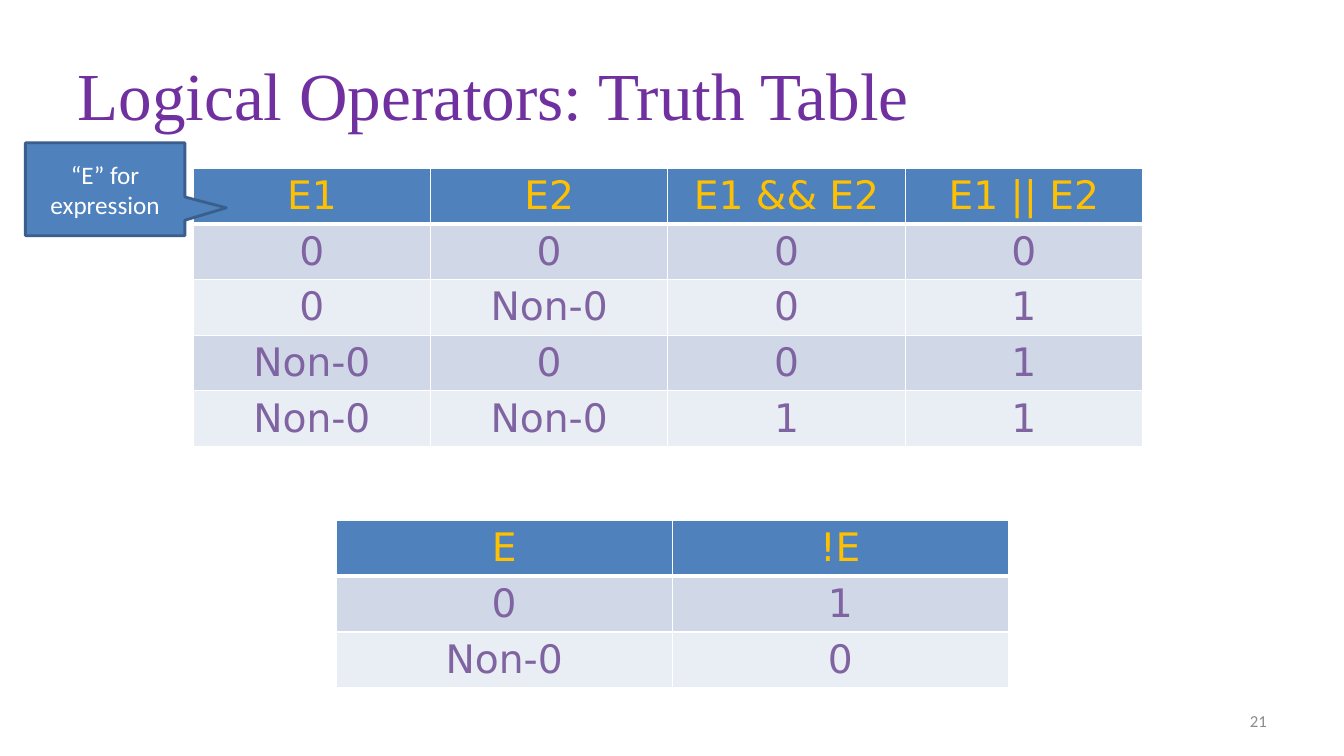
import pptx
import pptx.dml.color
import pptx.enum.shapes
import pptx.enum.text
import pptx.oxml
import pptx.oxml.ns
import pptx.util

Cm = pptx.util.Cm
Pt = pptx.util.Pt
RGBColor = pptx.dml.color.RGBColor
ALIGN = pptx.enum.text.PP_ALIGN
MIDDLE = pptx.enum.text.MSO_ANCHOR.MIDDLE

WHITE = RGBColor(0xFF, 0xFF, 0xFF)
TITLE_PURPLE = RGBColor(0x70, 0x30, 0xA0)
HEADER_BLUE = RGBColor(0x4F, 0x81, 0xBD)
HEADER_GOLD = RGBColor(0xFF, 0xC0, 0x00)
VALUE_PURPLE = RGBColor(0x80, 0x64, 0xA2)
BAND_DARK = RGBColor(0xD0, 0xD8, 0xE8)
BAND_LIGHT = RGBColor(0xE9, 0xED, 0xF4)
CALLOUT_EDGE = RGBColor(0x3A, 0x5F, 0x8C)
NUMBER_GREY = RGBColor(0x8C, 0x8C, 0x8C)

ROW_HEIGHT = Cm(1.4)
BINARY_TABLE = [
    ["E1", "E2", "E1 && E2", "E1 || E2"],
    ["0", "0", "0", "0"],
    ["0", "Non-0", "0", "1"],
    ["Non-0", "0", "0", "1"],
    ["Non-0", "Non-0", "1", "1"],
]
NOT_TABLE = [["E", "!E"], ["0", "1"], ["Non-0", "0"]]


def write(frame, text, font, size, color, align):
    paragraph = frame.paragraphs[0]
    paragraph.alignment = align
    run = paragraph.add_run()
    run.text = text
    run.font.name = font
    run.font.size = Pt(size)
    run.font.bold = False
    run.font.color.rgb = color


def set_borders(cell, bottom_width):
    properties = cell._tc.get_or_add_tcPr()
    for side, width in (("L", 1), ("R", 1), ("T", 1), ("B", bottom_width)):
        properties.append(pptx.oxml.parse_xml(
            f'<a:ln{side} {pptx.oxml.ns.nsdecls("a")} w="{Pt(width)}">'
            f'<a:solidFill><a:srgbClr val="{WHITE}"/></a:solidFill></a:ln{side}>'))


def add_title(slide, left, top, width, height):
    title = slide.shapes.title
    title.left, title.top, title.width, title.height = left, top, width, height
    frame = title.text_frame
    frame.vertical_anchor = MIDDLE
    frame.auto_size = pptx.enum.text.MSO_AUTO_SIZE.NONE
    write(frame, "Logical Operators: Truth Table", "Times New Roman", 48,
          TITLE_PURPLE, ALIGN.LEFT)


def add_truth_table(slide, rows, left, top, width):
    table = slide.shapes.add_table(len(rows), len(rows[0]), left, top, width,
                                   ROW_HEIGHT * len(rows)).table
    table.horz_banding = False
    for row_index, values in enumerate(rows):
        header = row_index == 0
        band = BAND_DARK if row_index % 2 else BAND_LIGHT
        for column_index, value in enumerate(values):
            cell = table.cell(row_index, column_index)
            set_borders(cell, 3 if header else 1)
            cell.fill.solid()
            cell.fill.fore_color.rgb = HEADER_BLUE if header else band
            write(cell.text_frame, value, "DejaVu Sans", 28,
                  HEADER_GOLD if header else VALUE_PURPLE, ALIGN.CENTER)


def add_expression_callout(slide, left, top, width, height):
    callout = slide.shapes.add_shape(
        pptx.enum.shapes.MSO_SHAPE.RECTANGULAR_CALLOUT, left, top, width, height)
    # Pointer tip, measured from the centre of the box
    callout.adjustments[0] = 0.76
    callout.adjustments[1] = 0.2
    callout.shadow.inherit = False
    callout.fill.solid()
    callout.fill.fore_color.rgb = HEADER_BLUE
    callout.line.color.rgb = CALLOUT_EDGE
    callout.line.width = Pt(2)
    frame = callout.text_frame
    frame.word_wrap = True
    frame.vertical_anchor = MIDDLE
    write(frame, "“E” for expression", "Calibri", 18, WHITE, ALIGN.CENTER)


def add_slide_number(slide, left, top, width, height):
    frame = slide.shapes.add_textbox(left, top, width, height).text_frame
    frame.word_wrap = True
    frame.vertical_anchor = MIDDLE
    write(frame, "21", "Calibri", 12, NUMBER_GREY, ALIGN.RIGHT)


def main():
    deck = pptx.Presentation()
    deck.slide_width, deck.slide_height = Cm(33.87), Cm(19.05)
    slide = deck.slides.add_slide(deck.slide_layouts[5])

    add_title(slide, Cm(1.7), Cm(0.76), Cm(30.48), Cm(3.18))
    # Binary operators above, negation below
    add_truth_table(slide, BINARY_TABLE, Cm(4.87), Cm(4.24), Cm(23.92))
    add_truth_table(slide, NOT_TABLE, Cm(8.47), Cm(13.12), Cm(16.94))
    add_expression_callout(slide, Cm(0.64), Cm(3.6), Cm(4.02), Cm(2.34))
    add_slide_number(slide, Cm(24.28), Cm(17.65), Cm(7.9), Cm(1.02))

    deck.save("out.pptx")


if __name__ == "__main__":
    main()
